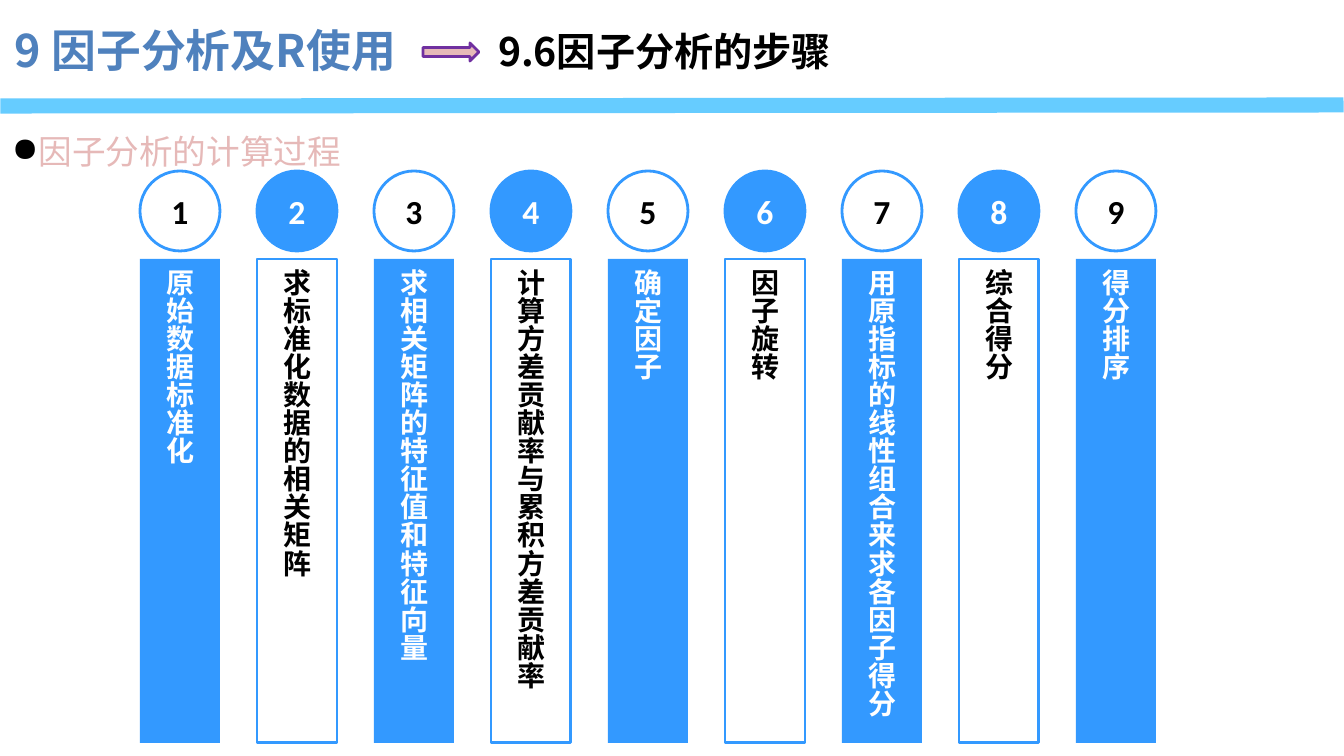
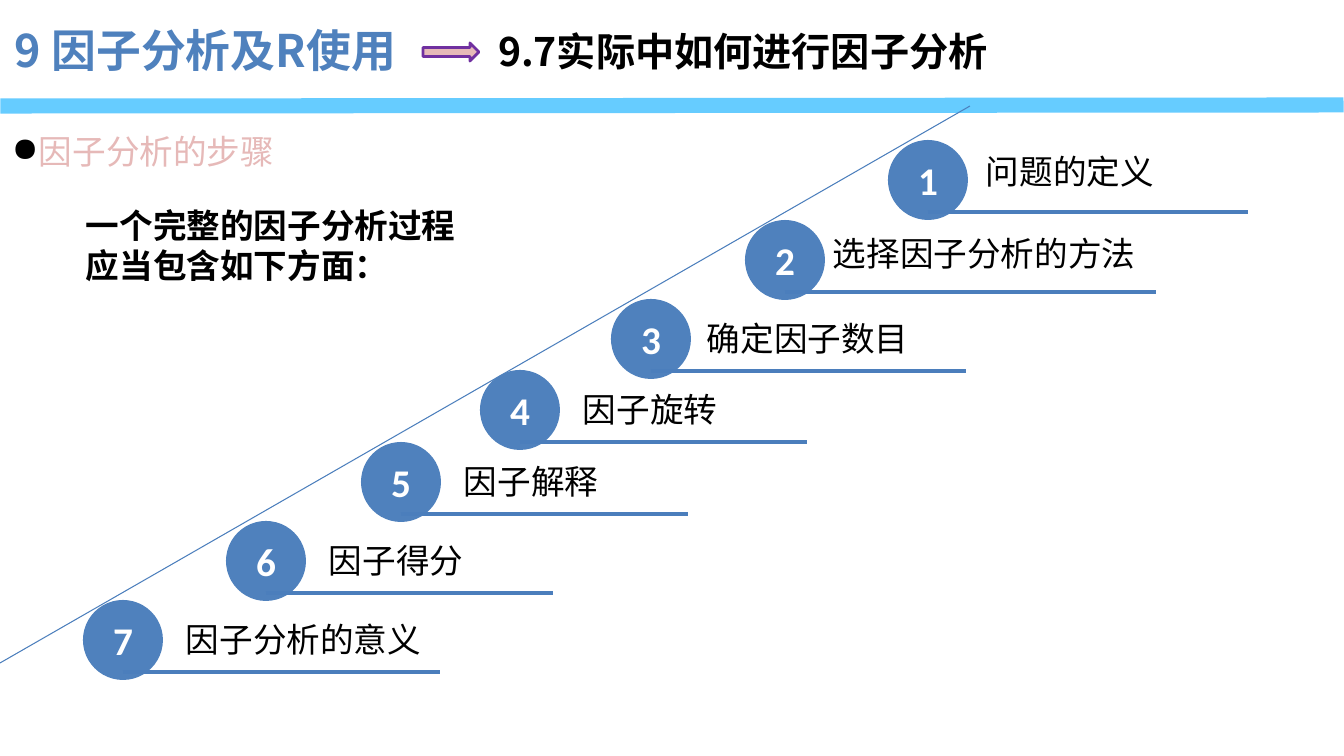
from lxml.etree import SubElement
from pptx import Presentation
from pptx.dml.color import RGBColor
from pptx.enum.shapes import MSO_CONNECTOR, MSO_SHAPE
from pptx.enum.text import MSO_ANCHOR, MSO_AUTO_SIZE, PP_ALIGN
from pptx.oxml.ns import qn
from pptx.util import Emu, Pt

COLORS = {
    "ink": "000000", "white": "FFFFFF", "chapter": "4F81BD", "band": "66CCFF",
    "step": "3399FF", "rule": "4B7EBC", "pink": "E6B9B8", "purple": "7030A0",
    "outline": "C0504D",
}
CJK, LATIN = "Noto Sans CJK SC", "Calibri"


def px(length):
    return Emu(round(length * 914400 / 100.8))


def rgb(name):
    return RGBColor.from_string(COLORS[name])


class Deck:
    """Holds the shared style and the slide being drawn."""

    def __init__(self):
        self.prs = Presentation()
        self.prs.slide_width, self.prs.slide_height = px(1344), px(756)
        self.slide = None

    def run(self, paragraph, text, size, color, bold=False, font=CJK):
        run = paragraph.add_run()
        run.text = text
        run.font.size, run.font.bold, run.font.name = Pt(size), bold, font
        run.font.color.rgb = rgb(color)
        SubElement(run.font._element, qn("a:ea")).set("typeface", CJK)
        return run

    def text(self, box, text, size, color="ink", bold=False, wrap=True):
        x, y, w, h = map(px, box)
        frame = self.slide.shapes.add_textbox(x, y, w, h).text_frame
        frame.word_wrap = wrap
        self.run(frame.paragraphs[0], text, size, color, bold)
        return frame.paragraphs[0]

    def line(self, start, end, color, width):
        line = self.slide.shapes.add_connector(
            MSO_CONNECTOR.STRAIGHT, *map(px, start + end))
        line.line.color.rgb, line.line.width = rgb(color), Pt(width)
        SubElement(line._element.spPr, qn("a:effectLst"))
        return line

    def shape(self, kind, box, fill=None, border=None):
        shape = self.slide.shapes.add_shape(kind, *map(px, box))
        shape.shadow.inherit = False
        if fill:
            shape.fill.solid()
            shape.fill.fore_color.rgb = rgb(fill)
        else:
            shape.fill.background()
        if border:
            shape.line.color.rgb, shape.line.width = rgb(border), Pt(2)
        else:
            shape.line.fill.background()
        return shape

    def number(self, value, x, y, size, color, fill=None, border=None):
        circle = self.shape(MSO_SHAPE.FLOWCHART_CONNECTOR, (x, y, 80, 80), fill, border)
        paragraph = circle.text_frame.paragraphs[0]
        paragraph.alignment = PP_ALIGN.CENTER
        self.run(paragraph, str(value), size, color, True, LATIN)

    def column(self, label, box, color, fill=None, border=None):
        frame = self.shape(MSO_SHAPE.RECTANGLE, box, fill, border).text_frame
        frame.vertical_anchor = MSO_ANCHOR.MIDDLE
        frame._txBody.bodyPr.set("vert", "eaVert")
        frame.paragraphs[0].alignment = PP_ALIGN.LEFT
        self.run(frame.paragraphs[0], label, 20, color, True, LATIN)

    def topic(self, text, indent):
        """Outlined heading with a black bullet and a hanging indent."""
        paragraph = self.text((2, 106, 1328, 65), text, 24, "pink")
        paragraph.alignment, paragraph.line_spacing = PP_ALIGN.JUSTIFY, 1.5
        props = paragraph._p.get_or_add_pPr()
        props.set("marL", str(px(indent)))
        props.set("indent", str(-px(indent)))
        bullet_color = SubElement(props, qn("a:buClr"))
        SubElement(bullet_color, qn("a:srgbClr")).set("val", COLORS["ink"])
        SubElement(props, qn("a:buChar")).set("char", "●")
        # The text outline must come before the fill
        font = paragraph.runs[0].font._element
        outline = SubElement(font, qn("a:ln"))
        outline.set("w", str(Pt(1.75)))
        fill = SubElement(outline, qn("a:solidFill"))
        SubElement(fill, qn("a:srgbClr")).set("val", COLORS["outline"])
        font.insert(0, outline)

    def new_slide(self, title, width):
        """Slide with section title, chapter name, arrow and band."""
        self.slide = self.prs.slides.add_slide(self.prs.slide_layouts[5])
        heading = self.slide.shapes.title
        heading.left, heading.top, heading.width, heading.height = map(
            px, (488, 22, width, 57))
        frame = heading.text_frame
        frame.vertical_anchor, frame.auto_size = MSO_ANCHOR.TOP, MSO_AUTO_SIZE.NONE
        frame.paragraphs[0].alignment = PP_ALIGN.LEFT
        self.run(frame.paragraphs[0], title, 28, "ink", True)
        self.text((5, 18, 614, 65), "9 因子分析及R使用", 32, "chapter", True)
        band = self.line((8, 106), (1336, 105), "band", 10.75)
        band.line._get_or_add_ln().set("cap", "sq")
        self.shape(MSO_SHAPE.RIGHT_ARROW, (423, 43, 56, 18), "pink", "purple")


def process_slide(deck):
    deck.new_slide("9.6因子分析的步骤", 478)
    deck.topic("因子分析的计算过程", 20)
    steps = ["原始数据标准化", "求标准化数据的相关矩阵", "求相关矩阵的特征值和特征向量",
             "计算方差贡献率与累积方差贡献率", "确定因子", "因子旋转",
             "用原指标的线性组合来求各因子得分", "综合得分", "得分排序"]
    # Filled and outlined styles alternate
    for i, step in enumerate(steps):
        x = 140 + 117 * i
        box = (x, 259, 80, 484)
        if i % 2:
            deck.number(i + 1, x, 171, 24, "white", "step", "step")
            deck.column(step, box, "ink", border="step")
        else:
            deck.number(i + 1, x, 171, 24, "ink", border="step")
            deck.column(step, box, "white", fill="step")


def practice_slide(deck):
    deck.new_slide("9.7实际中如何进行因子分析", 532)
    deck.topic("因子分析的步骤", 27)
    deck.text((76, 200, 413, 92), "一个完整的因子分析过程应当包含如下方面：", 24, bold=True)
    deck.line((970, 106), (0, 663), "rule", 0.75)
    # Label, circle corner, end of rule, label offset from the circle
    stairs = [
        ("问题的定义", 888, 140, 1248, 88, 6),
        ("选择因子分析的方法", 745, 220, 1156, 78, 8),
        ("确定因子数目", 611, 299, 966, 86, 14),
        ("因子旋转", 480, 370, 807, 93, 14),
        ("因子解释", 361, 442, 688, 93, 14),
        ("因子得分", 226, 521, 553, 93, 14),
        ("因子分析的意义", 83, 600, 440, 93, 14),
    ]
    for value, (label, x, y, rule_end, dx, dy) in enumerate(stairs, 1):
        deck.number(value, x, y, 28, "white", "chapter")
        deck.line((x + 40, y + 72), (rule_end, y + 72), "rule", 3)
        deck.text((x + dx, y + dy, 20 + 34 * len(label), 50), label, 24, wrap=False)


def main():
    deck = Deck()
    process_slide(deck)
    practice_slide(deck)
    deck.prs.save("out.pptx")


if __name__ == "__main__":
    main()
